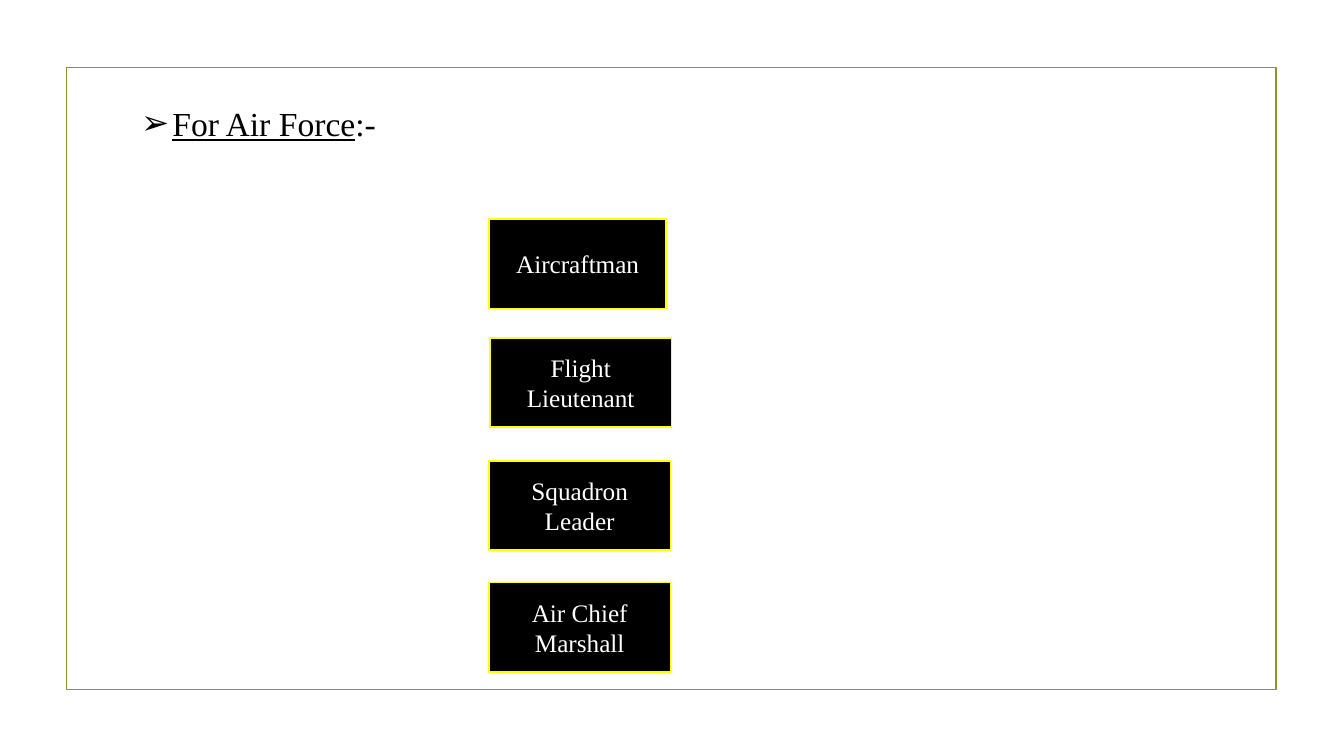
from lxml import etree
from pptx import Presentation
from pptx.dml.color import RGBColor
from pptx.enum import shapes, text
from pptx.oxml import ns
from pptx.util import Inches, Pt

BLACK = RGBColor(0x00, 0x00, 0x00)
WHITE = RGBColor(0xFF, 0xFF, 0xFF)
YELLOW = RGBColor(0xFF, 0xFF, 0x00)
OLIVE = RGBColor(0x83, 0x99, 0x2A)
FONT = "Times New Roman"

# Rank, left, top, width
RANKS = [
    ("Aircraftman", 4.85, 2.17, 1.76),
    ("Flight Lieutenant", 4.86, 3.35, 1.8),
    ("Squadron Leader", 4.85, 4.57, 1.8),
    ("Air Chief Marshall", 4.85, 5.78, 1.8),
]
RANK_HEIGHT = 0.89


def format_font(font, size, color):
    font.name = FONT
    font.size = Pt(size)
    font.color.rgb = color


def add_rectangle(slide, left, top, width, height, line_color, fill_color=None):
    shape = slide.shapes.add_shape(
        shapes.MSO_SHAPE.RECTANGLE,
        Inches(left), Inches(top), Inches(width), Inches(height))
    shape.shadow.inherit = False
    if fill_color is None:
        shape.fill.background()
    else:
        shape.fill.solid()
        shape.fill.fore_color.rgb = fill_color
    shape.line.color.rgb = line_color
    shape.line.width = Pt(1.25)
    return shape


def add_rank(slide, rank, left, top, width):
    shape = add_rectangle(slide, left, top, width, RANK_HEIGHT, YELLOW, BLACK)
    text_frame = shape.text_frame
    text_frame.text = rank
    text_frame.word_wrap = True
    text_frame.vertical_anchor = text.MSO_ANCHOR.MIDDLE
    paragraph = text_frame.paragraphs[0]
    paragraph.alignment = text.PP_ALIGN.CENTER
    format_font(paragraph.runs[0].font, 18, WHITE)


def add_bullet(paragraph, character, indent):
    properties = paragraph._p.get_or_add_pPr()
    properties.set("marL", str(Inches(indent)))
    properties.set("indent", str(-Inches(indent)))
    etree.SubElement(properties, ns.qn("a:buFont"), typeface="Arial")
    etree.SubElement(properties, ns.qn("a:buChar"), char=character)


def set_title(slide):
    title = slide.shapes.title
    title.left, title.top = Inches(1.3), Inches(0.97)
    title.width, title.height = Inches(11.05), Inches(0.91)
    text_frame = title.text_frame
    text_frame.auto_size = text.MSO_AUTO_SIZE.NONE
    text_frame.vertical_anchor = text.MSO_ANCHOR.TOP
    paragraph = text_frame.paragraphs[0]
    paragraph.alignment = text.PP_ALIGN.LEFT
    add_bullet(paragraph, "➢", 0.31)
    for words, underlined in (("For Air Force", True), (":-", False)):
        run = paragraph.add_run()
        run.text = words
        format_font(run.font, 24, BLACK)
        run.font.underline = underlined


def main():
    presentation = Presentation()
    presentation.slide_width = Inches(13.33)
    presentation.slide_height = Inches(7.5)
    slide = presentation.slides.add_slide(presentation.slide_layouts[5])

    # Frame and heading
    add_rectangle(slide, 0.66, 0.67, 12, 6.17, OLIVE)
    set_title(slide)

    # Ranks from lowest to highest
    for rank, left, top, width in RANKS:
        add_rank(slide, rank, left, top, width)

    presentation.save("out.pptx")


if __name__ == "__main__":
    main()
